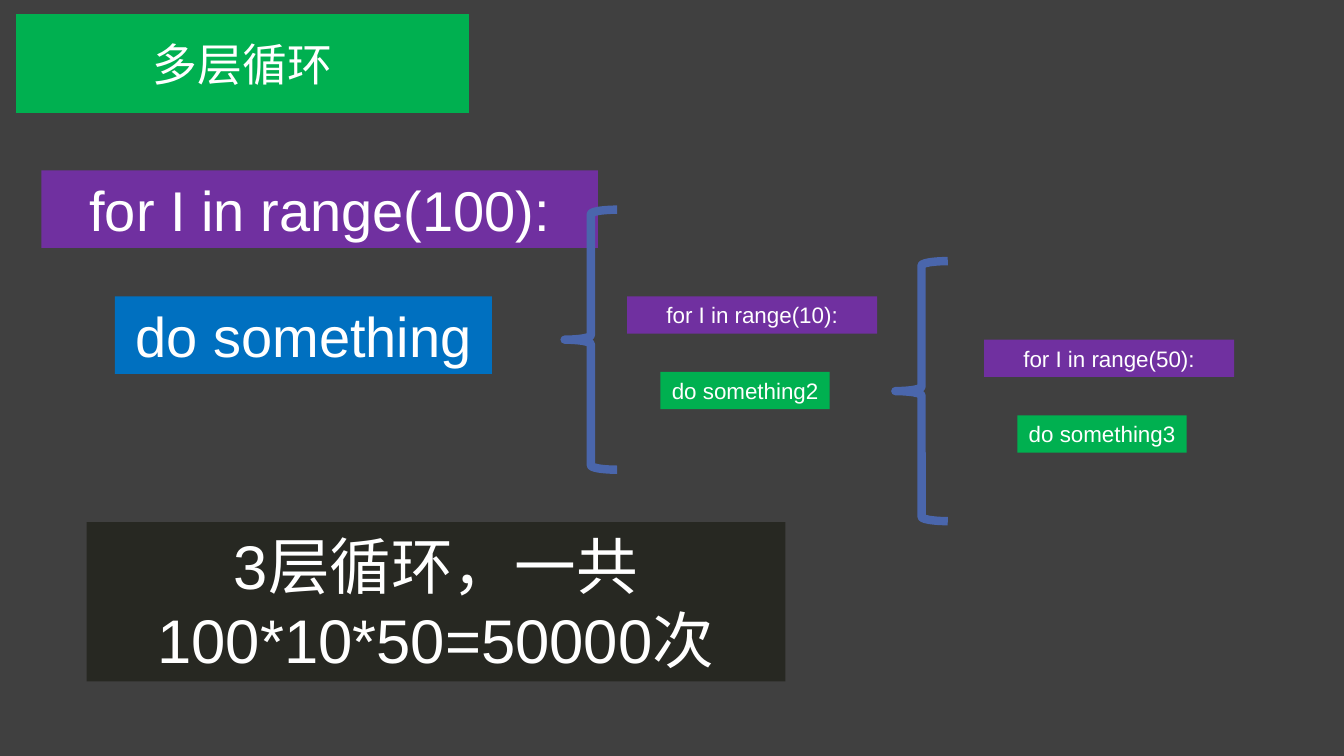
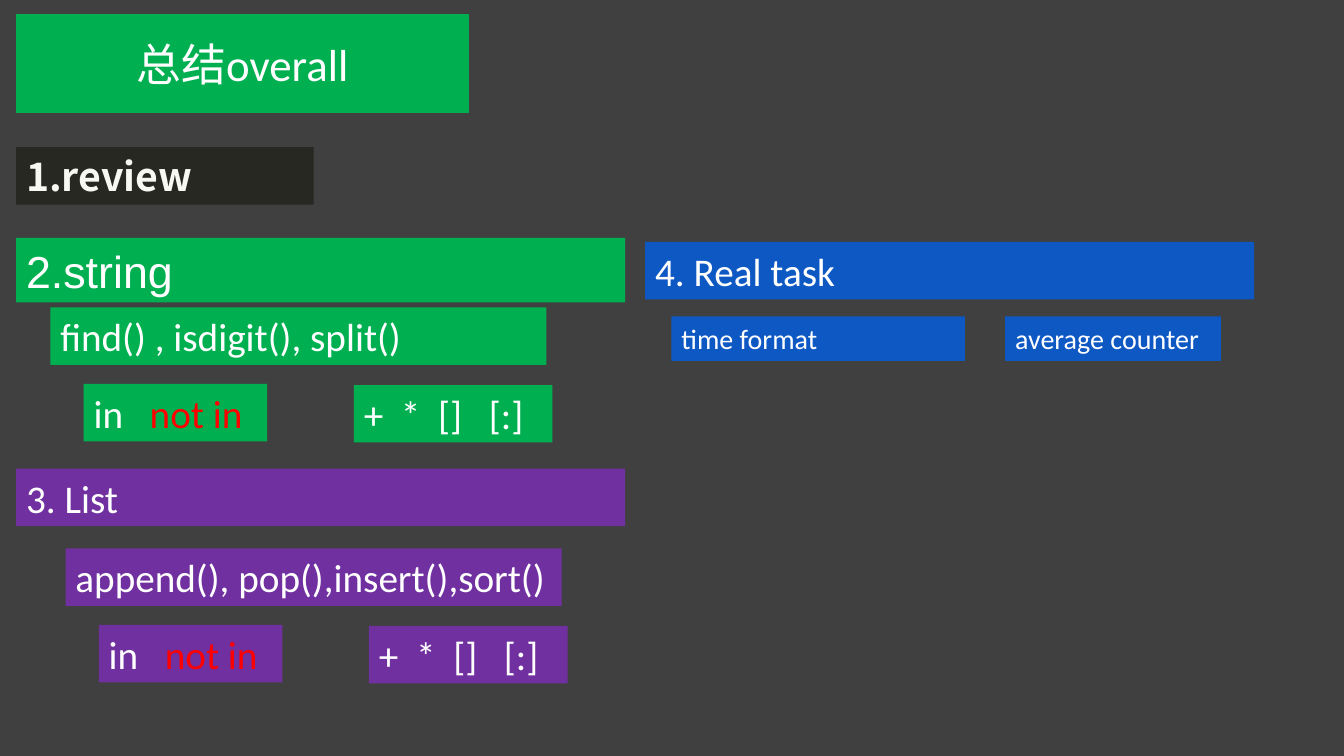
from pptx import Presentation
from pptx.dml.color import RGBColor as Rgb
from pptx.enum.shapes import MSO_SHAPE as Shape
from pptx.enum.text import MSO_ANCHOR as Anchor, MSO_AUTO_SIZE as Fit, PP_ALIGN as Align
from pptx.oxml.ns import qn
from pptx.util import Pt
from lxml.etree import SubElement

PX = 9144  # EMU per px, 100 px to the inch

GREY, DARK, WHITE, CREAM = "404040", "272822", "FFFFFF", "F8F8F2"
GREEN, PURPLE, BLUE, ROYAL = "00B050", "7030A0", "0070C0", "0E58C4"
STEEL, RED = "4A66AC", "FF0000"
BODY, CODE, HAN = "Calibri", "Arial", "Noto Sans CJK SC"


def rgb(code):
    return Rgb.from_string(code)


class Deck:
    def __init__(self, wide, high):
        self.prs = Presentation()
        self.prs.slide_width = wide * PX
        self.prs.slide_height = high * PX
        self.slide = None

    def page(self, title):
        """Start a slide with the dark ground and the green title band."""
        self.slide = self.prs.slides.add_slide(self.prs.slide_layouts[6])
        ground = self.slide.background.fill
        ground.solid()
        ground.fore_color.rgb = rgb(GREY)
        self.box(16, 14, 449, 98, GREEN, title, 32, mid=True, grow=False)

    def shape(self, kind, x, y, w, h, home=None):
        home = home or self.slide
        shape = home.shapes.add_shape(kind, x * PX, y * PX, w * PX, h * PX)
        shape.shadow.inherit = False
        return shape

    def box(self, x, y, w, h, fill, text, size=28, font=BODY, color=WHITE,
            bold=False, mid=False, grow=True, extra="", home=None):
        """Filled label; extra is a red ending of the text."""
        shape = self.shape(Shape.RECTANGLE, x, y, w, h, home)
        shape.fill.solid()
        shape.fill.fore_color.rgb = rgb(fill)
        shape.line.fill.background()
        frame = shape.text_frame
        frame.word_wrap = True
        frame.vertical_anchor = Anchor.MIDDLE
        frame.auto_size = Fit.SHAPE_TO_FIT_TEXT if grow else Fit.NONE
        frame.text = text
        par = frame.paragraphs[0]
        par.alignment = Align.CENTER if mid else Align.LEFT
        if extra:
            par.add_run().text = extra
        for run, tint in zip(par.runs, (color, RED)):
            run.font.name = font
            run.font.size = Pt(size)
            run.font.bold = bold
            run.font.color.rgb = rgb(tint)
            SubElement(run.font._element, qn("a:ea")).set("typeface", HAN)

    def loop(self, size, head, body):
        """Group of a loop header and its body, each (x, y, w, h, fill, text)."""
        group = self.slide.shapes.add_group_shape()
        for part in (head, body):
            self.box(*part, size, CODE, mid=True, home=group)

    def brace(self, x, y):
        shape = self.shape(Shape.LEFT_BRACE, x, y, 52, 258)
        shape.fill.background()
        shape.line.color.rgb = rgb(STEEL)
        shape.line.width = Pt(6)

    def tools(self, x, y, fill, calls):
        """Methods of a type, with its operators below."""
        self.box(x, y, 492, 57, fill, calls)
        self.box(x + 33, y + 76, 182, 57, fill, "in   ", extra="not in")
        self.box(x + 301, y + 77, 197, 57, fill, "+  *  []   [:]")


def nested(deck):
    deck.page("多层循环")
    # Outer loop
    deck.loop(40, (41, 169, 552, 77, PURPLE, "for I in range(100):"),
              (114, 294, 374, 77, BLUE, "do something"))
    # Inner loops
    for x, y, count, level in ((622, 294, 10, 2), (976, 337, 50, 3)):
        deck.loop(16, (x, y, 248, 37, PURPLE, f"for I in range({count}):"),
                  (x + 33, y + 75, 168, 37, GREEN, f"do something{level}"))
    deck.brace(560, 208)
    deck.brace(888, 259)
    # Total
    deck.box(86, 518, 693, 158, DARK, "3层循环，一共100*10*50=50000次", 44, CODE, mid=True)


def recap(deck):
    deck.page("总结overall")
    deck.box(16, 146, 295, 57, DARK, "1.review", font=HAN, color=CREAM, bold=True)
    # String and list
    deck.box(16, 236, 604, 64, GREEN, "2.string", 32, CODE)
    deck.tools(50, 305, GREEN, "find() , isdigit(), split()")
    deck.box(16, 465, 604, 57, PURPLE, "3. List")
    deck.tools(65, 544, PURPLE, "append(), pop(),insert(),sort()")
    # Real task
    deck.box(640, 240, 604, 57, ROYAL, "4. Real task")
    deck.box(666, 314, 291, 44, ROYAL, "time format", 20)
    deck.box(997, 314, 214, 44, ROYAL, "average counter", 20)


def main():
    deck = Deck(1333, 750)
    nested(deck)
    recap(deck)
    deck.prs.save("out.pptx")


if __name__ == "__main__":
    main()
